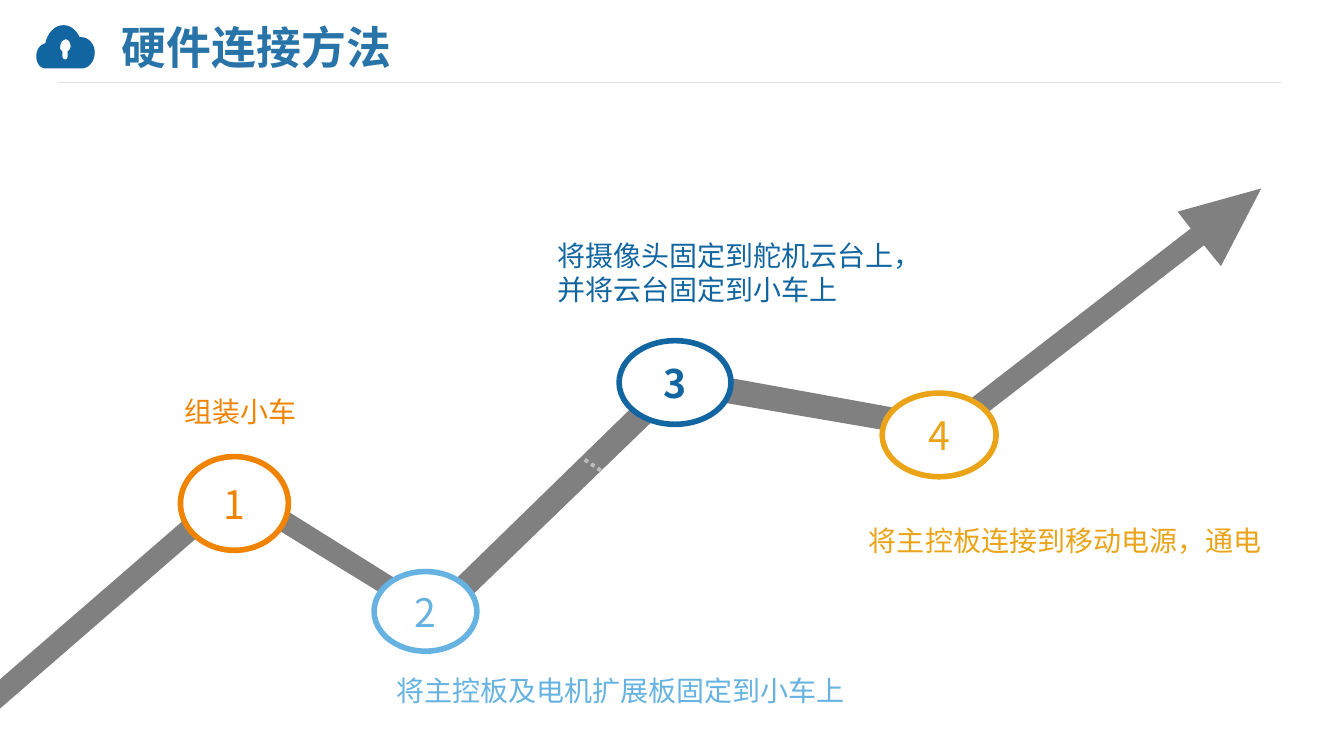
import dataclasses

import lxml.etree
import pptx
import pptx.dml.color
import pptx.enum.dml
import pptx.enum.shapes
import pptx.enum.text
import pptx.oxml.ns
import pptx.util

Inches = pptx.util.Inches
Align = pptx.enum.text.PP_ALIGN
Anchor = pptx.enum.text.MSO_ANCHOR


@dataclasses.dataclass(frozen=True)
class Theme:
    font: str = "Noto Sans CJK SC"
    title: str = "2874A9"
    white: str = "FFFFFF"
    rule: str = "E0E0E0"
    trail: str = "808080"
    orange: str = "F08300"
    sky: str = "66B3E1"
    navy: str = "1165A0"
    gold: str = "EBA417"
    title_size: int = 32
    number_size: int = 28
    label_size: int = 20


THEME = Theme()

# Cloud icon: each curve is two control points and an end point
CLOUD = [
    (0.81, 0.37),
    [(0.8, 0.37), (0.8, 0.37), (0.79, 0.37)],
    [(0.76, 0.3), (0.7, 0.25), (0.63, 0.25)],
    [(0.54, 0.25), (0.47, 0.33), (0.45, 0.43)],
    [(0.4, 0.44), (0.36, 0.49), (0.36, 0.56)],
    [(0.36, 0.63), (0.4, 0.68), (0.46, 0.68)],
    (0.81, 0.68),
    [(0.88, 0.68), (0.94, 0.61), (0.94, 0.52)],
    [(0.94, 0.44), (0.88, 0.37), (0.81, 0.37)],
]
KEYHOLE = [
    (0.67, 0.51), (0.67, 0.56),
    [(0.67, 0.58), (0.66, 0.59), (0.65, 0.59)],
    [(0.63, 0.59), (0.62, 0.58), (0.62, 0.56)],
    (0.62, 0.51),
    [(0.6, 0.5), (0.59, 0.48), (0.6, 0.45)],
    [(0.6, 0.42), (0.62, 0.4), (0.65, 0.39)],
    [(0.68, 0.39), (0.7, 0.42), (0.7, 0.46)],
    [(0.7, 0.48), (0.69, 0.5), (0.67, 0.51)],
]

# Rising trail and its arrowhead
TRAIL = [
    (0, 6.74), (2.25, 4.79), (2.3, 4.75), (2.37, 4.77), (4.29, 5.97),
    (6.62, 3.7), (6.7, 3.58), (6.8, 3.67), (9.39, 4.14), (11.82, 2.26),
    (11.96, 2.42), (9.45, 4.36), (9.38, 4.42), (9.31, 4.36), (6.74, 3.92),
    (4.42, 6.16), (4.38, 6.24), (4.29, 6.2), (2.34, 5), (0, 7.03),
]
ARROWHEAD = [(12.51, 1.87), (11.68, 2.1), (11.89, 2.37), (12.11, 2.64)]

# Steps: number, colour, bold, circle box, label lines, label box, alignment
STEPS = [
    ("1", THEME.orange, False, (1.79, 4.53, 1.07, 0.93),
     ["组装小车"], (0.88, 3.86, 3.01, 0.45), Align.CENTER),
    ("2", THEME.sky, False, (3.71, 5.67, 1.02, 0.79),
     ["将主控板及电机扩展板固定到小车上"], (3.83, 6.63, 4.8, 0.45), Align.LEFT),
    ("3", THEME.navy, True, (6.14, 3.38, 1.11, 0.83),
     ["将摄像头固定到舵机云台上，", "并将云台固定到小车上"],
     (5.43, 2.32, 3.8, 0.94), Align.LEFT),
    ("4", THEME.gold, False, (8.75, 3.9, 1.13, 0.83),
     ["将主控板连接到移动电源，通电"], (8.52, 5.14, 4.3, 0.45), Align.LEFT),
]


def rgb(color):
    return pptx.dml.color.RGBColor.from_string(color)


def lengths(values):
    return [Inches(value) for value in values]


def write_lines(frame, lines, size, color, align, bold=False):
    frame.text = "\n".join(lines)
    for paragraph in frame.paragraphs:
        paragraph.alignment = align
        font = paragraph.font
        font.size = pptx.util.Pt(size)
        font.bold = bold
        font.name = THEME.font
        font.color.rgb = rgb(color)
        properties = paragraph._p.pPr.find(pptx.oxml.ns.qn("a:defRPr"))
        east_asian = lxml.etree.SubElement(properties, pptx.oxml.ns.qn("a:ea"))
        east_asian.set("typeface", THEME.font)


def flatten(outline, steps=8):
    """Turn an outline of points and cubic curves into points."""
    points = []
    for part in outline:
        if isinstance(part, tuple):
            points.append(part)
            continue
        corners = [points[-1], *part]
        for step in range(1, steps + 1):
            t = step / steps
            weights = ((1 - t) ** 3, 3 * t * (1 - t) ** 2, 3 * t * t * (1 - t), t ** 3)
            points.append(tuple(
                sum(weight * corner[axis] for weight, corner in zip(weights, corners))
                for axis in (0, 1)))
    return points


def add_outline(slide, color, *outlines):
    contours = [[lengths(point) for point in flatten(outline)] for outline in outlines]
    builder = slide.shapes.build_freeform(*contours[0][0], scale=1.0)
    for index, contour in enumerate(contours):
        if index:
            builder.move_to(*contour[0])
        builder.add_line_segments(contour[1:], close=True)
    shape = builder.convert_to_shape()
    shape.shadow.inherit = False
    shape.fill.solid()
    shape.fill.fore_color.rgb = rgb(color)
    shape.line.fill.background()


def add_line(slide, start, end, color, width):
    line = slide.shapes.add_connector(
        pptx.enum.shapes.MSO_CONNECTOR.STRAIGHT, *lengths(start + end))
    line.line.color.rgb = rgb(color)
    line.line.width = pptx.util.Pt(width)
    lxml.etree.SubElement(line._element.spPr, pptx.oxml.ns.qn("a:effectLst"))
    return line


def add_dotted_line(slide, start, end, opacity):
    line = add_line(slide, start, end, THEME.white, 2.75)
    line.line.dash_style = pptx.enum.dml.MSO_LINE.ROUND_DOT
    color = next(line._element.spPr.iter(pptx.oxml.ns.qn("a:srgbClr")))
    alpha = lxml.etree.SubElement(color, pptx.oxml.ns.qn("a:alpha"))
    alpha.set("val", str(opacity * 1000))


def add_title(slide, text):
    title = slide.shapes.title
    title.left, title.top, title.width, title.height = lengths((1.21, 0.2, 8.89, 0.52))
    frame = title.text_frame
    frame.margin_left = frame.margin_right = frame.margin_top = frame.margin_bottom = 0
    frame.vertical_anchor = Anchor.MIDDLE
    frame.auto_size = pptx.enum.text.MSO_AUTO_SIZE.NONE
    write_lines(frame, [text], THEME.title_size, THEME.title, Align.LEFT, bold=True)


def add_circle(slide, number, color, bold, box):
    circle = slide.shapes.add_shape(pptx.enum.shapes.MSO_SHAPE.OVAL, *lengths(box))
    circle.shadow.inherit = False
    circle.fill.solid()
    circle.fill.fore_color.rgb = rgb(THEME.white)
    circle.line.color.rgb = rgb(color)
    circle.line.width = pptx.util.Pt(4)
    frame = circle.text_frame
    frame.word_wrap = False
    frame.vertical_anchor = Anchor.MIDDLE
    write_lines(frame, [number], THEME.number_size, color, Align.CENTER, bold)


def add_label(slide, lines, color, box, align):
    frame = slide.shapes.add_textbox(*lengths(box)).text_frame
    frame.word_wrap = False
    write_lines(frame, lines, THEME.label_size, color, align)


def main():
    deck = pptx.Presentation()
    deck.slide_width, deck.slide_height = lengths((13.33, 7.5))
    slide = deck.slides.add_slide(deck.slide_layouts.get_by_name("Title Only"))

    # Header
    add_line(slide, (12.71, 0.82), (0.58, 0.82), THEME.rule, 0.75)
    add_outline(slide, THEME.navy, CLOUD, KEYHOLE)
    add_title(slide, "硬件连接方法")

    # Trail
    add_outline(slide, THEME.trail, TRAIL)
    add_dotted_line(slide, (5.8, 4.56), (7.15, 5.48), opacity=48)
    add_outline(slide, THEME.trail, ARROWHEAD)

    # Steps
    for number, color, bold, circle_box, lines, label_box, align in STEPS:
        add_circle(slide, number, color, bold, circle_box)
        add_label(slide, lines, color, label_box, align)

    deck.save("out.pptx")


main()
